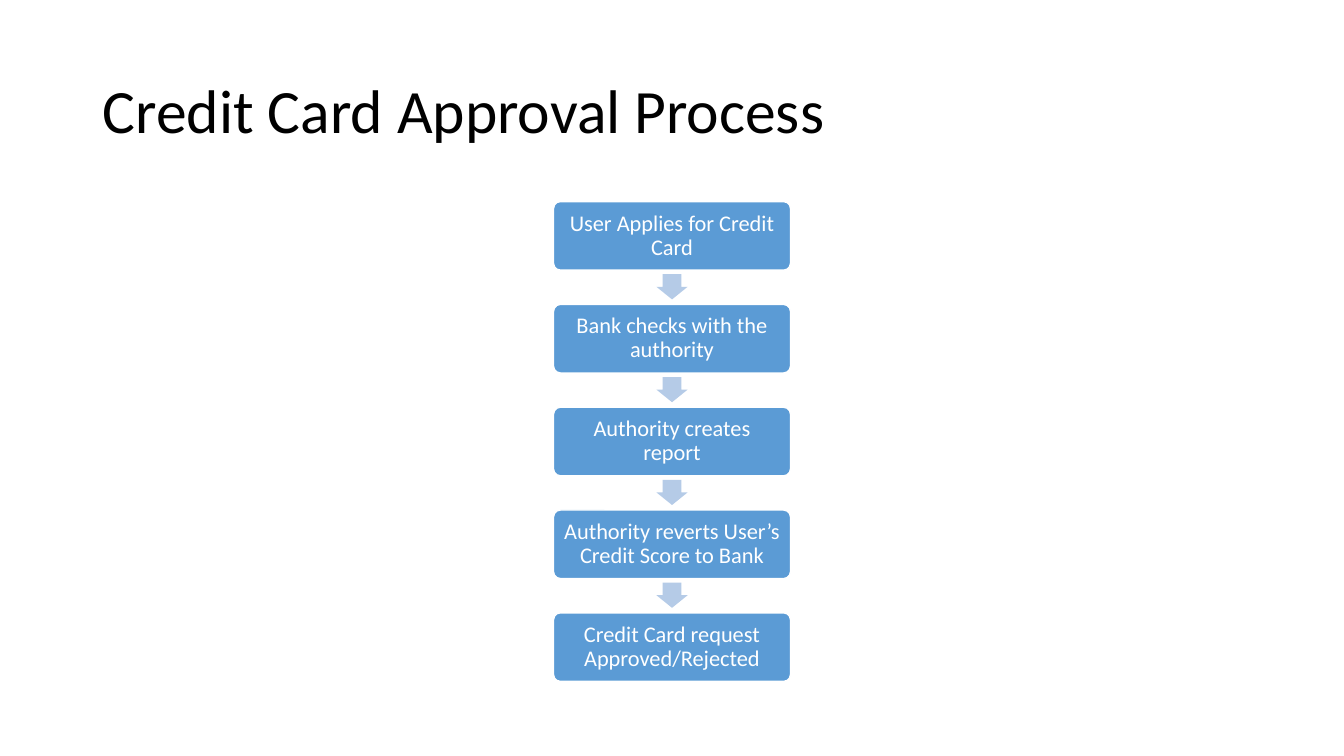
from pptx import Presentation
from pptx.dml.color import RGBColor
from pptx.enum.shapes import MSO_SHAPE
from pptx.enum.text import MSO_ANCHOR, PP_ALIGN
from pptx.util import Inches, Pt

ROUNDED = MSO_SHAPE.ROUNDED_RECTANGLE
ARROW = MSO_SHAPE.RIGHT_ARROW
MIDDLE = MSO_ANCHOR.MIDDLE
LEFT, CENTER = PP_ALIGN.LEFT, PP_ALIGN.CENTER

COLORS = {"title": "000000", "step": "5B9BD5", "arrow": "B5CBE7", "white": "FFFFFF"}
STEPS = [
    "User Applies for Credit Card",
    "Bank checks with the authority",
    "Authority creates report",
    "Authority reverts User’s Credit Score to Bank",
    "Credit Card request Approved/Rejected",
]
STEP_TOP, STEP_PITCH = 2, 1.02
ARROW_OFFSET = 0.69


class ProcessSlide:
    """Draws the elements of a vertical process in one style."""

    def __init__(self, slide, font="Calibri"):
        self.slide = slide
        self.font = font

    def set_text(self, shape, text, size, color, align):
        frame = shape.text_frame
        frame.word_wrap = True
        frame.vertical_anchor = MIDDLE
        frame.text = text
        paragraph = frame.paragraphs[0]
        paragraph.alignment = align
        paragraph.line_spacing = 0.9
        font = paragraph.runs[0].font
        font.name = self.font
        font.size = Pt(size)
        font.color.rgb = RGBColor.from_string(COLORS[color])

    def title(self, text):
        box = self.slide.shapes.add_textbox(
            Inches(0.92), Inches(0.4), Inches(11.5), Inches(1.45))
        self.set_text(box, text, 44, "title", LEFT)

    def shape(self, kind, left, top, width, height, fill, adjustments):
        shape = self.slide.shapes.add_shape(
            kind, Inches(left), Inches(top), Inches(width), Inches(height))
        shape.shadow.inherit = False
        shape.fill.solid()
        shape.fill.fore_color.rgb = RGBColor.from_string(COLORS[fill])
        for index, value in enumerate(adjustments):
            shape.adjustments[index] = value
        return shape

    def step(self, text, top):
        shape = self.shape(ROUNDED, 5.49, top, 2.35, 0.68, "step", [0.1])
        shape.line.color.rgb = RGBColor.from_string(COLORS["white"])
        shape.line.width = Pt(1)
        frame = shape.text_frame
        frame.margin_left = frame.margin_right = Inches(0.07)
        frame.margin_top = frame.margin_bottom = Inches(0.07)
        self.set_text(shape, text, 16, "white", CENTER)

    def arrow(self, top):
        shape = self.shape(ARROW, 6.54, top, 0.25, 0.31, "arrow", [0.6, 0.5])
        shape.rotation = 90
        shape.line.fill.background()


def main():
    presentation = Presentation()
    presentation.slide_width = Inches(13.33)
    presentation.slide_height = Inches(7.5)
    process = ProcessSlide(presentation.slides.add_slide(presentation.slide_layouts[6]))

    process.title("Credit Card Approval Process")
    for index, text in enumerate(STEPS):
        top = STEP_TOP + index * STEP_PITCH
        process.step(text, top)
        if index < len(STEPS) - 1:
            process.arrow(top + ARROW_OFFSET)

    presentation.save("out.pptx")


if __name__ == "__main__":
    main()
